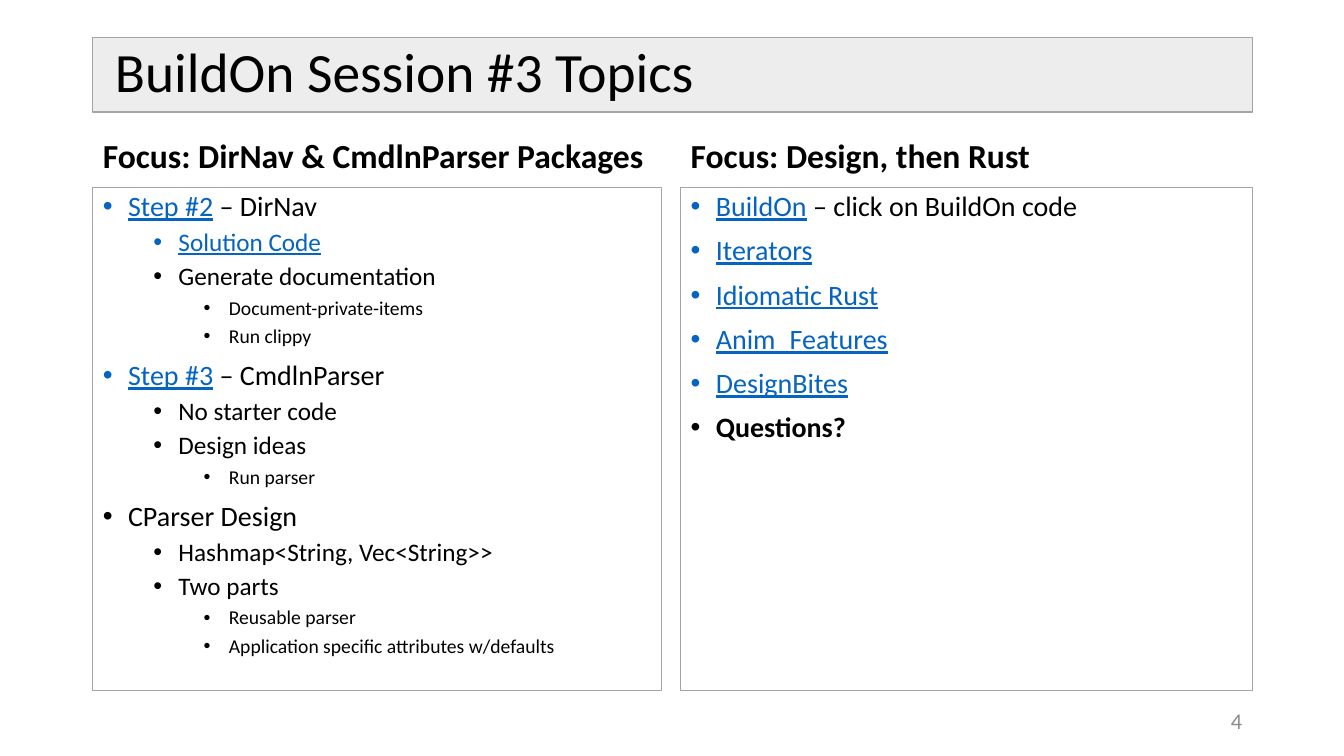
from lxml import etree
from pptx import Presentation
from pptx.dml.color import RGBColor
from pptx.enum.text import MSO_ANCHOR, MSO_AUTO_SIZE, PP_ALIGN
from pptx.oxml.ns import qn
from pptx.util import Emu, Pt

LEFT, RIGHT = PP_ALIGN.LEFT, PP_ALIGN.RIGHT
TOP, MIDDLE, BOTTOM = MSO_ANCHOR.TOP, MSO_ANCHOR.MIDDLE, MSO_ANCHOR.BOTTOM
NO_AUTOFIT = MSO_AUTO_SIZE.NONE

BLACK = RGBColor(0x00, 0x00, 0x00)
WHITE = RGBColor(0xFF, 0xFF, 0xFF)
PALE_GRAY = RGBColor(0xED, 0xED, 0xED)
BORDER_GRAY = RGBColor(0xA5, 0xA5, 0xA5)
NUMBER_GRAY = RGBColor(0x8C, 0x8C, 0x8C)
LINK_BLUE = RGBColor(0x05, 0x63, 0xC1)

EMU_PER_PX = 9144
COMPARISON_LAYOUT = 4
LEVEL_SIZES = (20, 18, 14)
LEVEL_GAPS = (10, 5, 5)

COLUMNS = (
    (92, 564, "Focus: DirNav & CmdlnParser Packages", (
        (0, "Step #2", " – DirNav"),
        (1, "Solution Code", ""),
        (1, "", "Generate documentation"),
        (2, "", "Document-private-items"),
        (2, "", "Run clippy"),
        (0, "Step #3", " – CmdlnParser"),
        (1, "", "No starter code"),
        (1, "", "Design ideas"),
        (2, "", "Run parser"),
        (0, "", "CParser Design"),
        (1, "", "Hashmap<String, Vec<String>>"),
        (1, "", "Two parts"),
        (2, "", "Reusable parser"),
        (2, "", "Application specific attributes w/defaults"),
    )),
    (675, 567, "Focus: Design, then Rust", (
        (0, "BuildOn", " – click on BuildOn code"),
        (0, "Iterators", ""),
        (0, "Idiomatic Rust", ""),
        (0, "Anim_Features", ""),
        (0, "DesignBites", ""),
        (0, "", "Questions?"),
    )),
)


def px(length):
    """Turn whole px into EMU."""
    return Emu(length * EMU_PER_PX)


def apply(target, formats):
    """Set every attribute in formats on target."""
    for attribute, value in formats.items():
        setattr(target, attribute, value)


class TopicsSlide:
    """Holds the style and the current slide."""

    font_name = "Calibri"

    def __init__(self, deck):
        """Add the slide on the comparison layout."""
        self.slide = deck.slides.add_slide(deck.slide_layouts[COMPARISON_LAYOUT])

    def place(self, holder, box, anchor):
        """Position a text holder and return its text frame."""
        apply(holder, dict(zip(("left", "top", "width", "height"), map(px, box))))
        apply(holder.text_frame, {
            "word_wrap": True, "auto_size": NO_AUTOFIT, "vertical_anchor": anchor,
            "margin_left": px(10), "margin_right": px(10),
            "margin_top": px(5), "margin_bottom": px(5)})
        return holder.text_frame

    def panel(self, holder, fill):
        """Give a holder a fill and a thin gray border."""
        holder.fill.solid()
        holder.fill.fore_color.rgb = fill
        holder.line.color.rgb = BORDER_GRAY
        holder.line.width = Pt(1)

    def add_words(self, paragraph, text, size, color=BLACK, bold=False, underline=False):
        """Add one formatted run."""
        run = paragraph.add_run()
        run.text = text
        apply(run.font, {"name": self.font_name, "size": Pt(size),
                         "bold": bold, "underline": underline})
        run.font.color.rgb = color

    def space(self, paragraph, before, align=LEFT, line=0.9):
        """Set paragraph spacing and alignment."""
        apply(paragraph, {"alignment": align, "line_spacing": line,
                          "space_before": Pt(before), "space_after": Pt(0)})

    def title(self, text, box):
        """Fill the title placeholder."""
        holder = self.slide.shapes.title
        frame = self.place(holder, box, MIDDLE)
        frame.margin_left = px(22)
        self.panel(holder, PALE_GRAY)
        self.space(frame.paragraphs[0], 0)
        self.add_words(frame.paragraphs[0], text, 39.6)

    def heading(self, index, text, box):
        """Fill a column heading placeholder."""
        frame = self.place(self.slide.placeholders[index], box, BOTTOM)
        self.space(frame.paragraphs[0], 10)
        self.add_words(frame.paragraphs[0], text, 24, bold=True)

    def bullet(self, paragraph, level):
        """Set the level, indent and bullet of a paragraph."""
        paragraph.level = level
        self.space(paragraph, LEVEL_GAPS[level])
        properties = paragraph._p.get_or_add_pPr()
        properties.set("marL", str(px(25 + 50 * level)))
        properties.set("indent", str(px(-25)))
        etree.SubElement(properties, qn("a:buFont"), typeface="Arial")
        etree.SubElement(properties, qn("a:buChar"), char="•")

    def topics(self, index, items, box):
        """Fill a column list placeholder."""
        holder = self.slide.placeholders[index]
        frame = self.place(holder, box, TOP)
        self.panel(holder, WHITE)
        for position, (level, link, plain) in enumerate(items):
            paragraph = frame.add_paragraph() if position else frame.paragraphs[0]
            self.bullet(paragraph, level)
            size = LEVEL_SIZES[level]
            if link:
                self.add_words(paragraph, link, size, LINK_BLUE, underline=True)
            if plain:
                self.add_words(paragraph, plain, size, bold=plain == "Questions?")

    def page_number(self, text, box):
        """Add the page number at the lower right."""
        frame = self.place(self.slide.shapes.add_textbox(0, 0, 0, 0), box, MIDDLE)
        self.space(frame.paragraphs[0], 0, RIGHT, 1.0)
        self.add_words(frame.paragraphs[0], text, 16, NUMBER_GRAY)


def main():
    """Build and save the slide."""
    deck = Presentation()
    apply(deck, {"slide_width": px(1333), "slide_height": px(750)})
    session = TopicsSlide(deck)
    session.title("BuildOn Session #3 Topics", (92, 37, 1150, 74))
    for column, (left, width, focus, items) in enumerate(COLUMNS):
        session.heading(1 + 2 * column, focus, (left, 126, width, 53))
        session.topics(2 + 2 * column, items, (left, 186, width, 499))
    session.page_number("4", (942, 695, 300, 40))
    deck.save("out.pptx")


if __name__ == "__main__":
    main()
